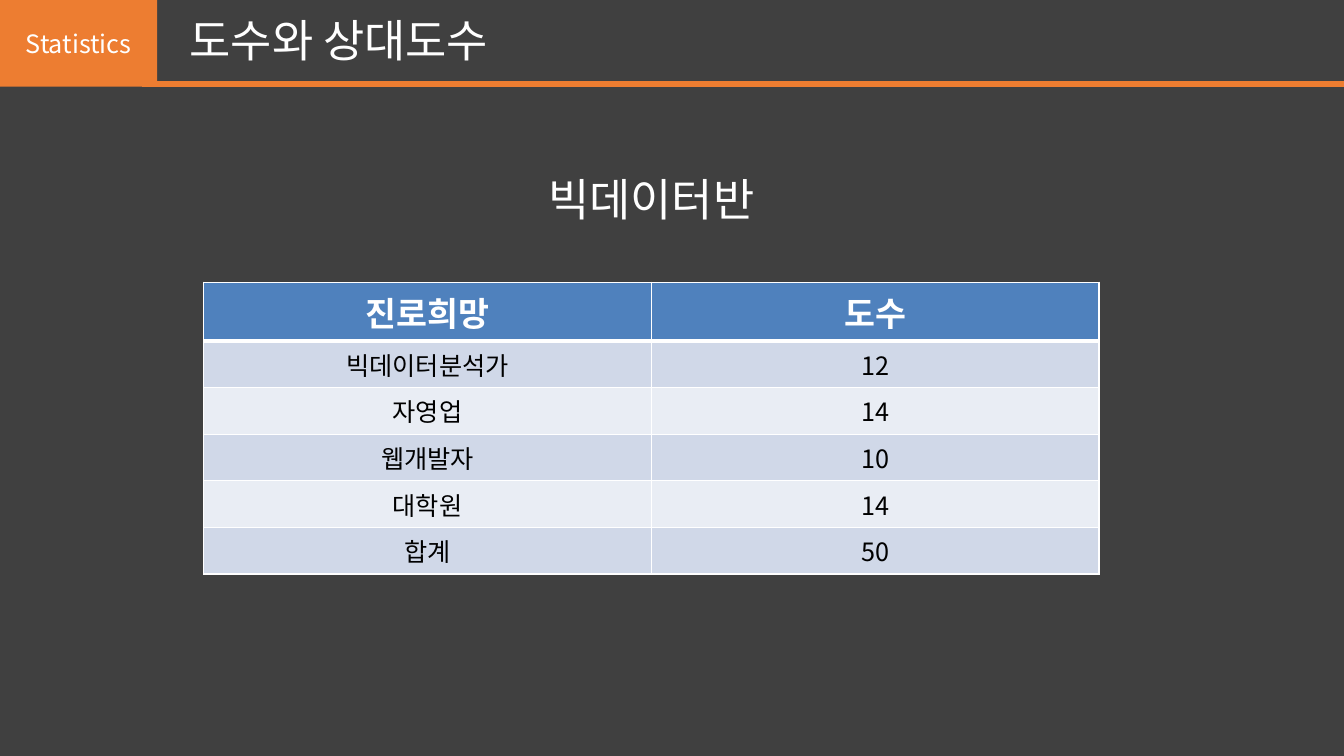
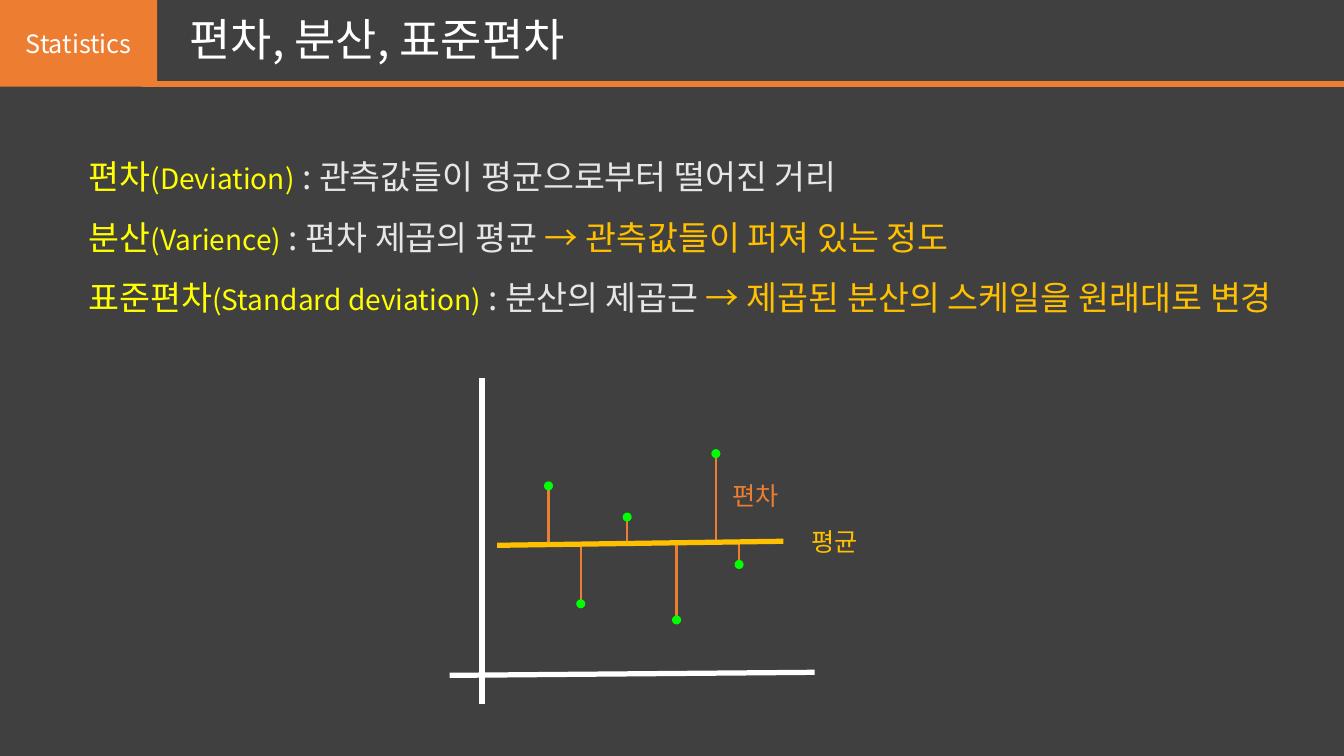
from lxml import etree
from pptx import Presentation
from pptx.dml.color import RGBColor
from pptx.enum.shapes import MSO_CONNECTOR, MSO_SHAPE
from pptx.enum.text import MSO_ANCHOR, MSO_AUTO_SIZE, PP_ALIGN
from pptx.oxml.ns import qn
from pptx.util import Inches, Pt

LINE = MSO_CONNECTOR.STRAIGHT
RECT, OVAL = MSO_SHAPE.RECTANGLE, MSO_SHAPE.OVAL
TOP, MIDDLE = MSO_ANCHOR.TOP, MSO_ANCHOR.MIDDLE
LEFT, CENTER = PP_ALIGN.LEFT, PP_ALIGN.CENTER
FIXED = MSO_AUTO_SIZE.NONE

FONT = "Noto Sans CJK KR"
COLORS = {
    "back": "404040", "orange": "ED7D31", "white": "FFFFFF",
    "black": "000000", "head": "4F81BD", "odd": "D0D8E8",
    "even": "E9EDF4", "yellow": "FFFF00", "gray": "E6E6E6",
    "gold": "FFC000", "green": "00FF00",
}

CAREERS = [
    ("진로희망", "도수"), ("빅데이터분석가", "12"), ("자영업", "14"),
    ("웹개발자", "10"), ("대학원", "14"), ("합계", "50"),
]
TERMS = [
    ("편차", "(Deviation)", " : 관측값들이 평균으로부터 떨어진 거리", ""),
    ("분산", "(Varience)", " : 편차 제곱의 평균 ", "→ 관측값들이 퍼져 있는 정도"),
    ("표준편차", "(Standard deviation)", " : 분산의 제곱근 ",
     "→ 제곱된 분산의 스케일을 원래대로 변경"),
]
POINTS = [(5.44, 4.82), (5.76, 5.99), (6.22, 5.13),
          (6.71, 6.15), (7.1, 4.5), (7.33, 5.6)]
MEAN = (4.93, 5.41, 7.77, 5.37)
DOT = 0.09


def rgb(name):
    return RGBColor.from_string(COLORS[name])


def style(font, size, color, bold=False):
    font.name, font.size, font.bold = FONT, Pt(size), bold
    font.color.rgb = rgb(color)


def asian(run):
    latin = run.font._element.get_or_add_latin()
    face = etree.Element(qn("a:ea"), typeface=FONT)
    latin.addnext(face)
    latin.set("typeface", FONT)


def write(para, text, size, color, align=CENTER, bold=False):
    run = para.add_run()
    run.text = text
    para.alignment = align
    style(para.font, size, color, bold)
    asian(run)


def place(shape, box):
    shape.left, shape.top, shape.width, shape.height = map(Inches, box)


def frame(shape):
    text = shape.text_frame
    text.word_wrap, text.auto_size = True, FIXED
    text.vertical_anchor = TOP
    return text


def label(slide, text, box, size, color):
    para = frame(slide.shapes.add_textbox(*map(Inches, box))).paragraphs[0]
    write(para, text, size, color)


def block(slide, kind, box, color):
    shape = slide.shapes.add_shape(kind, *map(Inches, box))
    shape.shadow.inherit = False
    shape.fill.solid()
    shape.fill.fore_color.rgb = rgb(color)
    shape.line.fill.background()
    return shape


def rule(slide, ends, color, width):
    line = slide.shapes.add_connector(LINE, *map(Inches, ends))
    line.line.color.rgb = rgb(color)
    line.line.width = Pt(width)
    etree.SubElement(line._element.spPr, qn("a:effectLst"))


def start(deck, layout, title, top):
    slide = deck.slides.add_slide(deck.slide_layouts[layout])
    tag = block(slide, RECT, (0, 0, 1.56, 0.86), "orange")
    tag.text_frame.vertical_anchor = MIDDLE
    write(tag.text_frame.paragraphs[0], "Statistics", 18, "white")
    rule(slide, (1.41, 0.83, 13.33, 0.83), "orange", 4.5)
    place(slide.shapes.title, (1.78, top, 8.58, 0.64))
    para = frame(slide.shapes.title).paragraphs[0]
    write(para, title, 32, "white", LEFT)
    return slide


def border(cell, head):
    props = cell._tc.get_or_add_tcPr()
    for side in "LRTB":
        width = Pt(3 if head and side == "B" else 1)
        line = etree.SubElement(props, qn("a:ln" + side), w=str(width))
        fill = etree.SubElement(line, qn("a:solidFill"))
        etree.SubElement(fill, qn("a:srgbClr"), val=COLORS["white"])


def grid(slide, rows, box):
    shape = slide.shapes.add_table(len(rows), len(rows[0]), *map(Inches, box))
    table = shape.table
    for r, row in enumerate(rows):
        head = r == 0
        table.rows[r].height = Inches(0.58 if head else 0.46)
        back = "head" if head else "odd" if r % 2 else "even"
        for c, text in enumerate(row):
            cell = table.cell(r, c)
            border(cell, head)
            cell.fill.solid()
            cell.fill.fore_color.rgb = rgb(back)
            size, color = (24, "white") if head else (18, "black")
            write(cell.text_frame.paragraphs[0], text, size, color, bold=head)


def terms(slide):
    body = slide.placeholders[1]
    place(body, (0.78, 1.5, 12.05, 2.1))
    text = frame(body)
    looks = [(24, "yellow"), (20, "yellow"), (24, "gray"), (24, "gold")]
    for i, parts in enumerate(TERMS):
        para = text.paragraphs[0] if i == 0 else text.add_paragraph()
        props = para._p.get_or_add_pPr()
        props.set("marL", "0")
        props.set("indent", "0")
        etree.SubElement(props, qn("a:buNone"))
        para.space_before = Pt(14.4 if i else 0)
        for part, look in zip(parts, looks):
            if part:
                run = para.add_run()
                run.text = part
                style(run.font, *look)
                asian(run)


def plot(slide):
    rule(slide, (4.46, 6.7, 8.08, 6.67), "white", 3.75)
    rule(slide, (4.78, 3.75, 4.78, 6.98), "white", 3.75)
    left, low, right, high = MEAN
    for x, y in POINTS:
        mean = low + (high - low) * (x - left) / (right - left)
        rule(slide, (x, y, x, mean), "orange", 1.5)
        block(slide, OVAL, (x - DOT / 2, y - DOT / 2, DOT, DOT), "green")
    rule(slide, MEAN, "gold", 3.75)
    label(slide, "평균", (7.84, 5.17, 0.87, 0.4), 18, "gold")
    label(slide, "편차", (7.06, 4.72, 0.87, 0.4), 18, "orange")


def main():
    deck = Presentation()
    deck.slide_width, deck.slide_height = Inches(13.33), Inches(7.5)
    fill = deck.slide_master.background.fill
    fill.solid()
    fill.fore_color.rgb = rgb("back")

    slide = start(deck, 5, "도수와 상대도수", 0.08)
    label(slide, "빅데이터반", (4.65, 1.65, 3.62, 0.64), 32, "white")
    grid(slide, CAREERS, (2.02, 2.8, 8.88, 2.88))

    slide = start(deck, 1, "편차, 분산, 표준편차", 0.07)
    terms(slide)
    plot(slide)
    deck.save("out.pptx")


if __name__ == "__main__":
    main()
